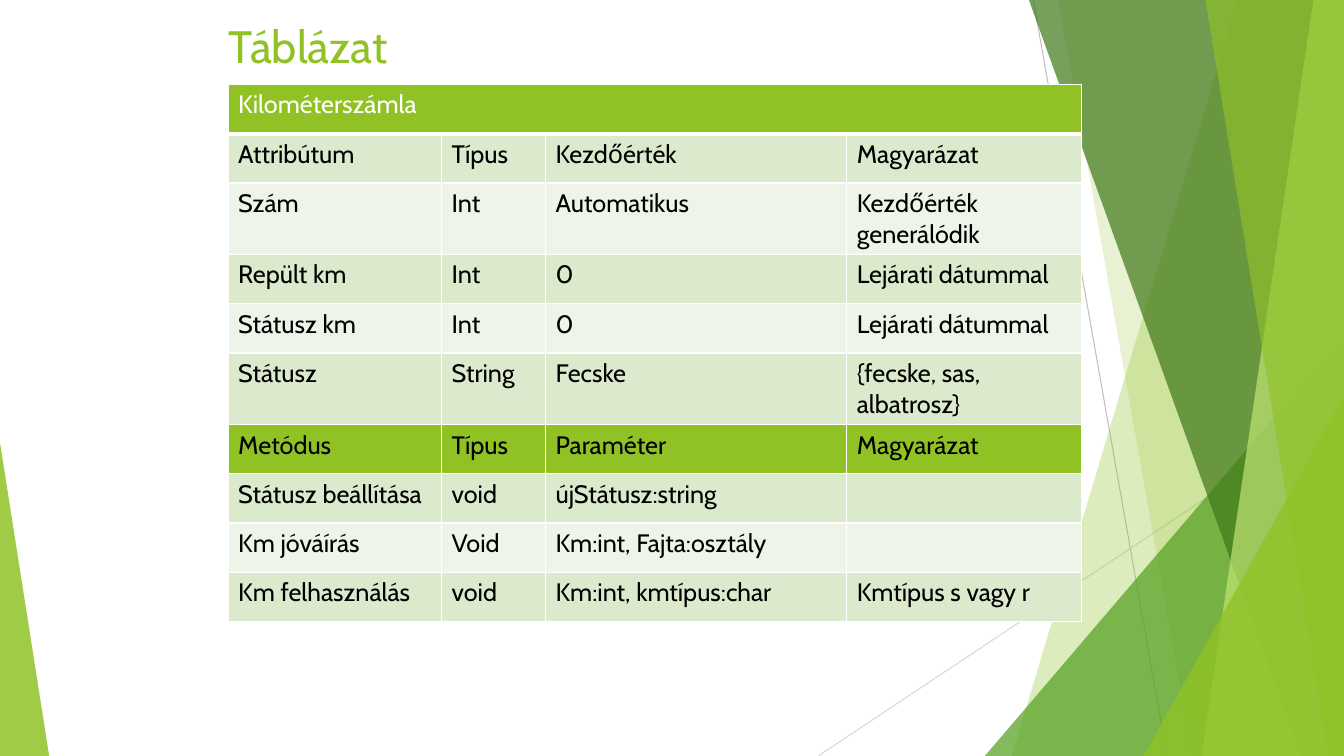
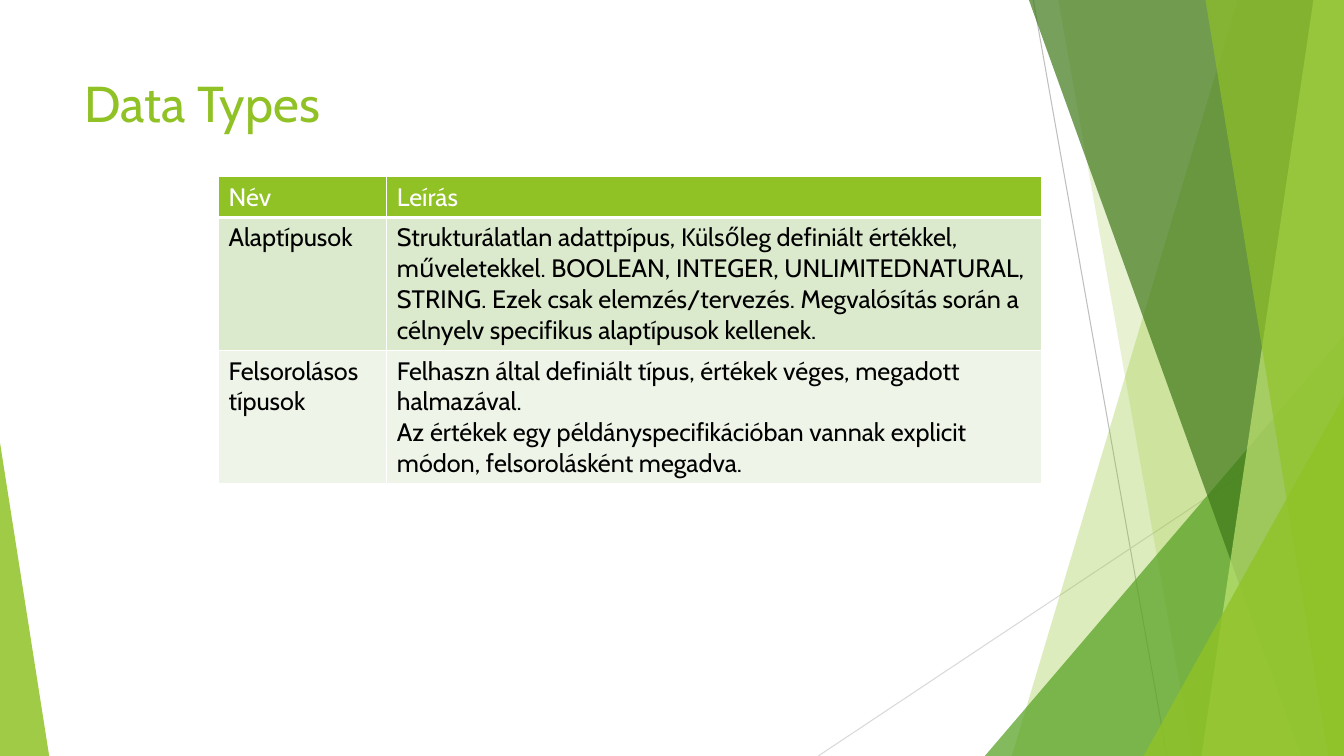
import pptx
import pptx.util
import pptx.dml.color
import pptx.enum.shapes
import pptx.enum.text
import pptx.oxml
import pptx.oxml.ns
from lxml import etree

Cm, Pt = pptx.util.Cm, pptx.util.Pt
qn = pptx.oxml.ns.qn
FONT = "Cabin"
WIDTH, HEIGHT = 33.87, 19.05
COLORS = {
    "lime": "90C226", "green": "54A021", "forest": "3F7819", "pale": "C0E474",
    "band_dark": "DBE9CD", "band_light": "EEF4E8",
    "white": "FFFFFF", "black": "000000",
    "line_dark": "BFBFBF", "line_light": "D9D9D9",
}


def rgb(name):
    return pptx.dml.color.RGBColor.from_string(COLORS[name])


def write(tf, text, size=18, color="black"):
    """Fill a text frame, one paragraph for each line of text."""
    tf.word_wrap = True
    tf.vertical_anchor = pptx.enum.text.MSO_ANCHOR.TOP
    for i, line in enumerate(text.split("\n")):
        p = tf.paragraphs[0] if i == 0 else tf.add_paragraph()
        p.alignment = pptx.enum.text.PP_ALIGN.LEFT
        r = p.add_run()
        r.text = line
        r.font.name, r.font.size, r.font.bold = FONT, Pt(size), False
        r.font.color.rgb = rgb(color)


# Background facets
def paint(sp, color, opacity):
    sp.shadow.inherit = False
    sp.fill.solid()
    sp.fill.fore_color.rgb = rgb(color)
    sp.line.fill.background()
    clr = sp.element.xpath("./p:spPr/a:solidFill/a:srgbClr")[0]
    etree.SubElement(clr, qn("a:alpha")).set("val", str(opacity * 1000))


def add_facet(shapes, box, top_x, bottom_x, color, opacity):
    """Full-height panel with a slanted left edge, flush with the right of the box."""
    x, y, w, h = box
    right, bottom = Cm(x + w), Cm(y + h)
    fb = shapes.build_freeform(Cm(x + top_x), Cm(y))
    fb.add_line_segments([(right, Cm(y)), (right, bottom), (Cm(x + bottom_x), bottom)])
    paint(fb.convert_to_shape(), color, opacity)


def add_corner(shapes, box, w, h, peak, color, opacity):
    """Triangle in a bottom corner: peak 1 is the right one, 0 the left one."""
    x, y, bw, bh = box
    sp = shapes.add_shape(pptx.enum.shapes.MSO_SHAPE.ISOSCELES_TRIANGLE,
                          Cm(x + peak * (bw - w)), Cm(y + bh - h), Cm(w), Cm(h))
    sp.adjustments[0] = peak
    paint(sp, color, opacity)


def add_hairline(shapes, box, start, end, color):
    x, y = box[:2]
    cx = shapes.add_connector(pptx.enum.shapes.MSO_CONNECTOR.STRAIGHT,
                              Cm(x + start[0]), Cm(y + start[1]),
                              Cm(x + end[0]), Cm(y + end[1]))
    cx.line.color.rgb, cx.line.width = rgb(color), Pt(0.75)
    etree.SubElement(cx.element.spPr, qn("a:effectLst"))


def add_background(prs, s, box):
    """Build the facets as a group and move it behind everything on the master."""
    group = s.shapes.add_group_shape()
    shapes = group.shapes
    add_hairline(shapes, box, (26.04, 0), (29.41, HEIGHT), "line_dark")
    add_hairline(shapes, box, (WIDTH, 10.24), (20.62, HEIGHT), "line_light")
    add_facet(shapes, box, 31.19, 25.5, "lime", 30)
    add_facet(shapes, box, 26.67, 30.05, "lime", 20)
    add_corner(shapes, box, 9.05, 10.59, 1, "green", 72)
    add_facet(shapes, box, 25.93, 32.79, "forest", 70)
    add_facet(shapes, box, 33.1, 30.28, "pale", 70)
    add_facet(shapes, box, 30.38, 33.48, "lime", 65)
    add_corner(shapes, box, 5.05, 9.07, 1, "lime", 80)
    add_corner(shapes, box, 1.24, 7.9, 0, "lime", 85)
    for i, props in enumerate(group.element.xpath(".//p:cNvPr")):
        props.set("id", str(100 + i))
    prs.slide_master.shapes.element.insert(2, group.element)


# Title and table
def add_title(s, box, text, size):
    title = s.shapes.title
    title.left, title.top, title.width, title.height = (Cm(v) for v in box)
    title.text_frame.auto_size = pptx.enum.text.MSO_AUTO_SIZE.NONE
    write(title.text_frame, text, size=size, color="lime")


def set_borders(cell, bottom=1):
    tcPr = cell._tc.get_or_add_tcPr()
    for i, (side, width) in enumerate((("L", 1), ("R", 1), ("T", 1), ("B", bottom))):
        ln = etree.Element(qn("a:ln" + side), w=str(Pt(width)))
        fill = etree.SubElement(ln, qn("a:solidFill"))
        etree.SubElement(fill, qn("a:srgbClr")).set("val", COLORS["white"])
        tcPr.insert(i, ln)


def add_grid(s, left, top, col_widths, row_height, rows, section_rows=()):
    """Banded table; the first row is the header, section rows share its fill."""
    table = s.shapes.add_table(len(rows), len(col_widths), Cm(left), Cm(top),
                               Cm(sum(col_widths)), Cm(row_height * len(rows))).table
    for col, width in zip(table.columns, col_widths):
        col.width = Cm(width)
    for i, row in enumerate(rows):
        table.rows[i].height = Cm(row_height)
        header = i == 0
        if header or i in section_rows:
            fill = "lime"
        else:
            fill = "band_dark" if i % 2 else "band_light"
        for j in range(len(col_widths)):
            cell = table.cell(i, j)
            cell.fill.solid()
            cell.fill.fore_color.rgb = rgb(fill)
            set_borders(cell, bottom=3 if header else 1)
            if j < len(row) and row[j]:
                write(cell.text_frame, row[j], color="white" if header else "black")
        if len(row) == 1:
            table.cell(i, 0).merge(table.cell(i, len(col_widths) - 1))


CLASS_ROWS = [
    ["Kilométerszámla"],
    ["Attribútum", "Típus", "Kezdőérték", "Magyarázat"],
    ["Szám", "Int", "Automatikus", "Kezdőérték generálódik"],
    ["Repült km", "Int", "0", "Lejárati dátummal"],
    ["Státusz km", "Int", "0", "Lejárati dátummal"],
    ["Státusz", "String", "Fecske", "{fecske, sas, albatrosz}"],
    ["Metódus", "Típus", "Paraméter", "Magyarázat"],
    ["Státusz beállítása", "void", "újStátusz:string", ""],
    ["Km jóváírás", "Void", "Km:int, Fajta:osztály", ""],
    ["Km felhasználás", "void", "Km:int, kmtípus:char", "Kmtípus s vagy r"],
]
TYPE_ROWS = [
    ["Név", "Leírás"],
    ["Alaptípusok",
     "Strukturálatlan adattpípus, Külsőleg definiált értékkel, műveletekkel. "
     "BOOLEAN, INTEGER, UNLIMITEDNATURAL, STRING. Ezek csak elemzés/tervezés. "
     "Megvalósítás során a célnyelv specifikus alaptípusok kellenek."],
    ["Felsorolásos típusok",
     "Felhaszn által definiált típus, értékek véges, megadott halmazával.\n"
     "Az értékek egy példányspecifikációban vannak explicit módon, "
     "felsorolásként megadva."],
]


def main():
    prs = pptx.Presentation()
    prs.slide_width, prs.slide_height = Cm(WIDTH), Cm(HEIGHT)
    title_only = prs.slide_layouts[5]

    # Class table
    s = prs.slides.add_slide(title_only)
    add_background(prs, s, (0, 0, WIDTH, HEIGHT))
    add_title(s, (5.51, 0.33, 20.75, 1.19), "Táblázat", 32.4)
    add_grid(s, 5.75, 2.13, [5.38, 2.62, 7.59, 5.92], 1.24, CLASS_ROWS, section_rows={6})

    # Data types
    s = prs.slides.add_slide(title_only)
    add_title(s, (1.88, 1.7, 23.88, 3.66), "Data Types", 36)
    add_grid(s, 5.51, 4.45, [4.24, 16.51], 1.03, TYPE_ROWS)

    prs.save("out.pptx")


if __name__ == "__main__":
    main()
